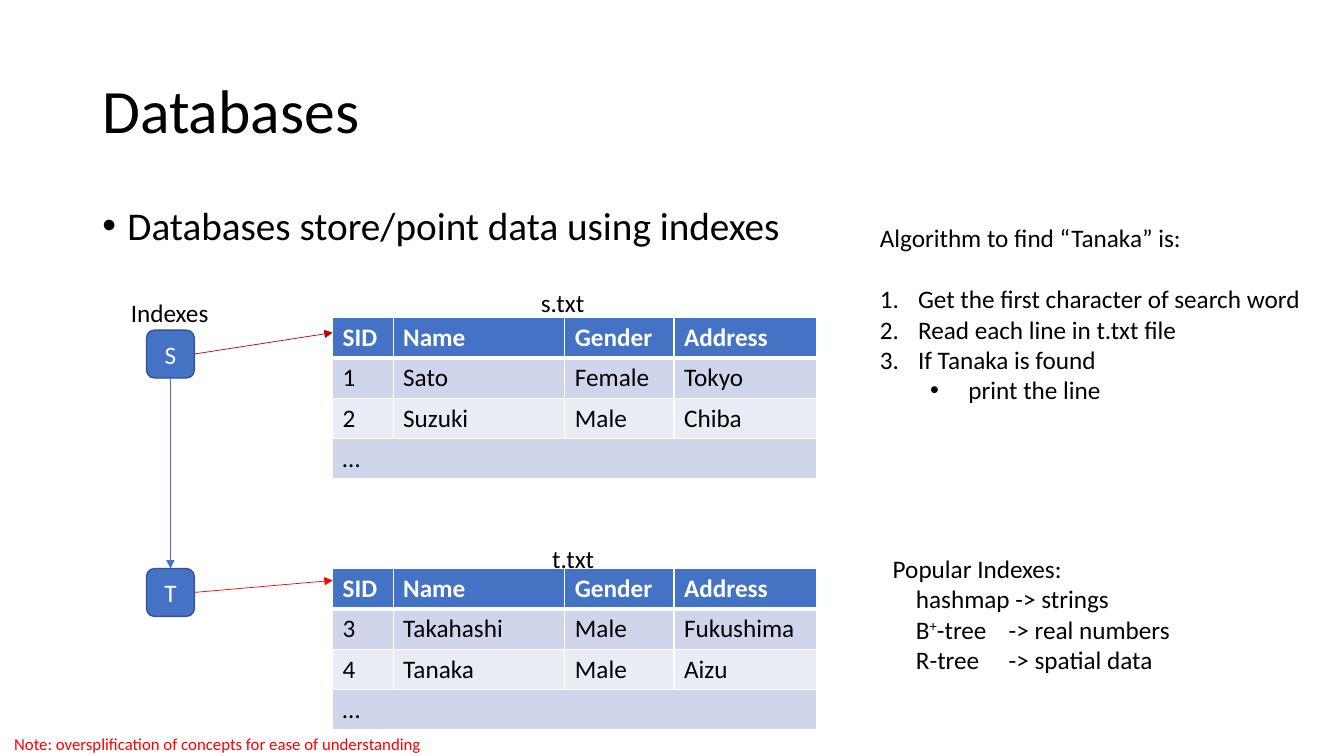
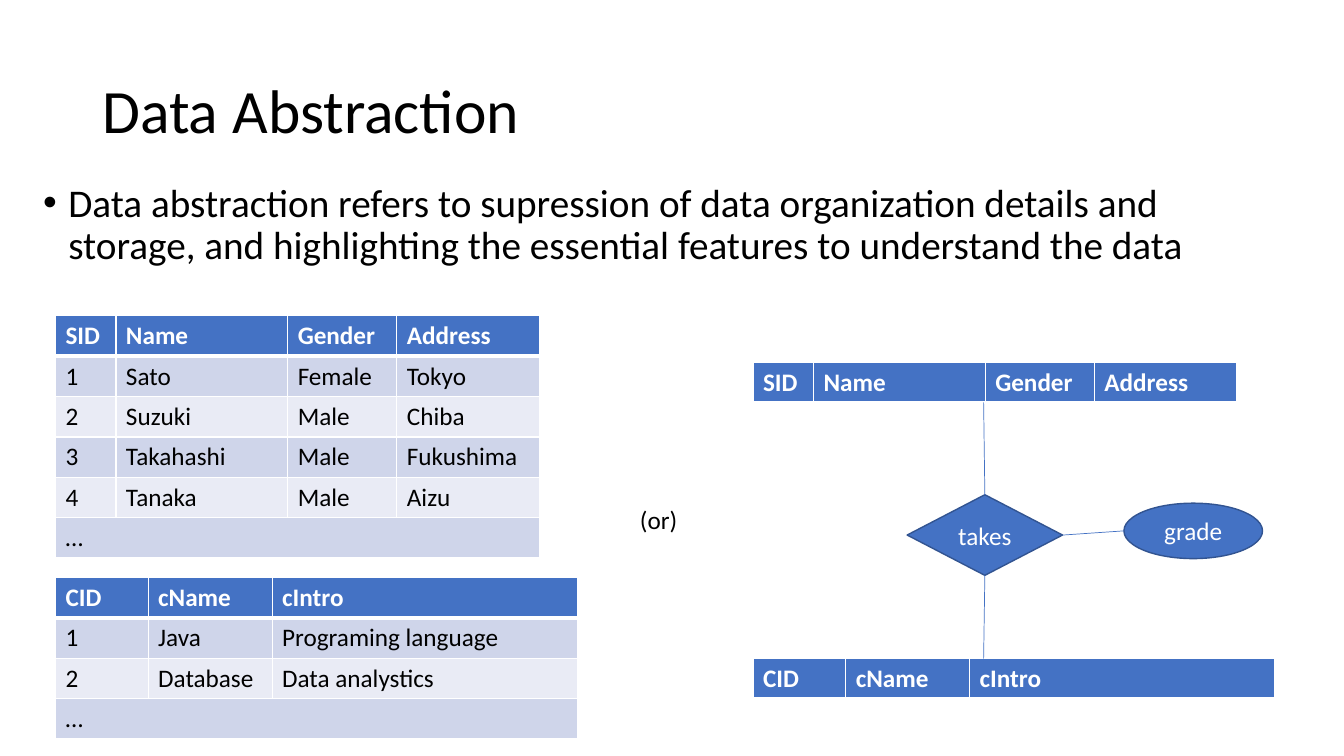
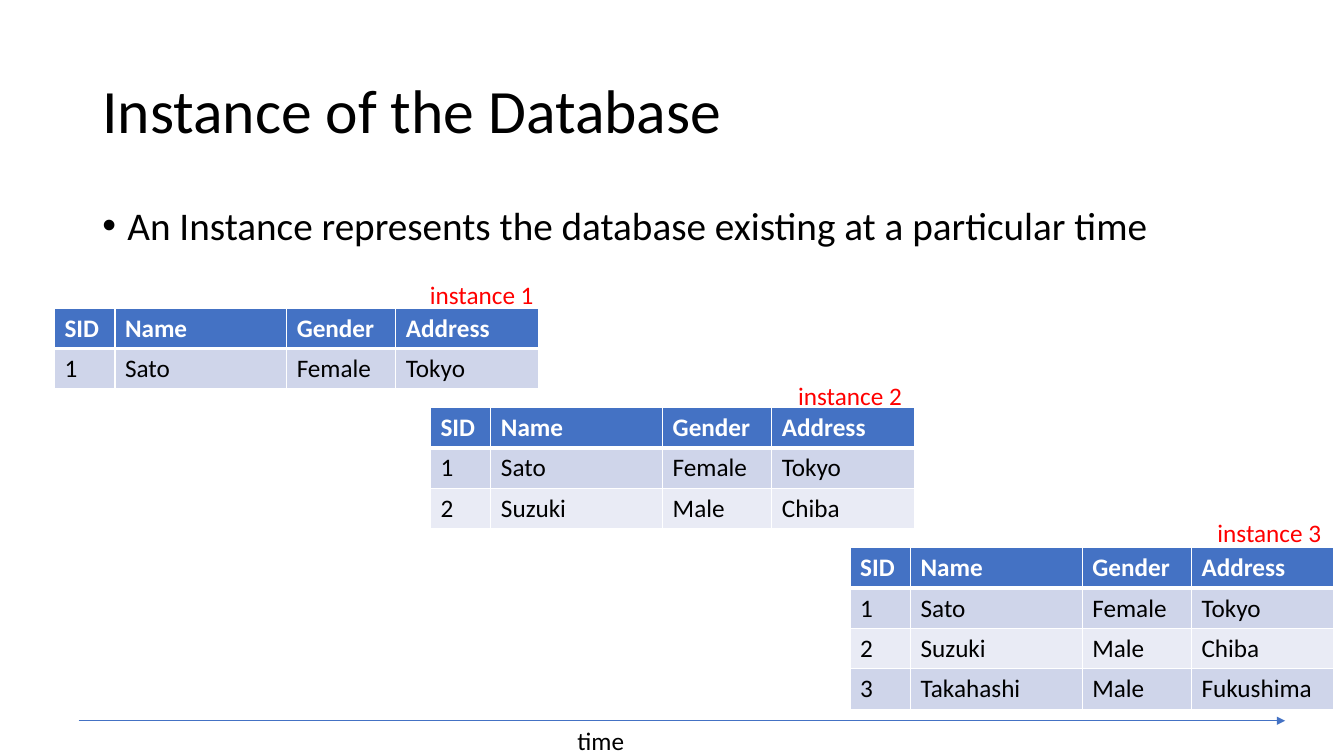
from lxml import etree
from pptx import Presentation
from pptx.dml.color import RGBColor
from pptx.enum.shapes import MSO_CONNECTOR, MSO_SHAPE
from pptx.enum.text import MSO_ANCHOR, PP_ALIGN
from pptx.oxml.ns import qn
from pptx.util import Inches, Pt

STRAIGHT = MSO_CONNECTOR.STRAIGHT
ROUNDED = MSO_SHAPE.ROUNDED_RECTANGLE
DIAMOND = MSO_SHAPE.DIAMOND
OVAL = MSO_SHAPE.OVAL
MIDDLE = MSO_ANCHOR.MIDDLE
TOP_ANCHOR = MSO_ANCHOR.TOP
CENTER = PP_ALIGN.CENTER
TOP, LEFT, BOTTOM, RIGHT = range(4)

BLACK = RGBColor(0x00, 0x00, 0x00)
WHITE = RGBColor(0xFF, 0xFF, 0xFF)
BLUE = RGBColor(0x44, 0x72, 0xC4)
EDGE_BLUE = RGBColor(0x32, 0x54, 0x91)
RED = RGBColor(0xFF, 0x00, 0x00)
DARK_RED = RGBColor(0xC0, 0x00, 0x00)
BANDS = (RGBColor(0xCF, 0xD5, 0xEA), RGBColor(0xE9, 0xEB, 0xF5))

# Grid of 160 columns by 90 rows of square cells
GRID_COLS, GRID_ROWS = 160, 90
CELL = Inches(7.5) / GRID_ROWS

TITLE = {"size": Pt(44)}
BODY = {"size": Pt(28)}
PLAIN = {"size": Pt(18)}
NOTE = {"size": Pt(12)}
HEAD = {"size": Pt(18), "bold": True}

# Table content
STUDENT_COLS = (7.2, 20.45, 13, 16.95)
STUDENT_HEAD = ("SID", "Name", "Gender", "Address")
STUDENTS = (
    ("1", "Sato", "Female", "Tokyo"),
    ("2", "Suzuki", "Male", "Chiba"),
    ("3", "Takahashi", "Male", "Fukushima"),
    ("4", "Tanaka", "Male", "Aizu"),
)
COURSE_COLS = (11.04, 14.76, 36.36)
COURSE_HEAD = ("CID", "cName", "cIntro")
COURSES = (
    ("1", "Java", "Programing language"),
    ("2", "Database", "Data analystics"),
)
MORE = (("…",),)


def grid(*cells):
    return [round(cell * CELL) for cell in cells]


class Deck:
    """Holds the shared style and the slide being built."""

    font_name = "Calibri"
    row_height = 4.8

    def __init__(self):
        self.prs = Presentation()
        self.prs.slide_width, self.prs.slide_height = grid(GRID_COLS, GRID_ROWS)

    def start(self, title, statement, left=11, top=24):
        """New slide with its title and one bulleted statement."""
        self.slide = self.prs.slides.add_slide(self.prs.slide_layouts[6])
        self.text(11, 4.8, 138, 17.4, [{"runs": title, "line_spacing": 0.9}],
                  TITLE, anchor=MIDDLE)
        self.text(left, top, 138, 57.1,
                  [{"runs": statement, "line_spacing": 0.9,
                    "bullet": "•", "indent": (0.25, -0.25)}], BODY)

    def add_words(self, paragraph, runs, style, color):
        """Runs are a string, or pairs of text and baseline shift."""
        for words, shift in [(runs, 0)] if isinstance(runs, str) else runs:
            run = paragraph.add_run()
            run.text = words
            for name, value in {"name": self.font_name, **style}.items():
                setattr(run.font, name, value)
            run.font.color.rgb = color
            if shift:
                run._r.get_or_add_rPr().set("baseline", str(shift * 1000))

    def mark(self, paragraph, bullet=None, indent=None, tabs=()):
        """Bullet or number, hanging indent and tab stops."""
        props = paragraph._p.get_or_add_pPr()
        if indent:
            for name, inches in zip(("marL", "indent"), indent):
                props.set(name, str(Inches(inches)))
        if bullet == "1.":
            etree.SubElement(props, qn("a:buAutoNum"), type="arabicPeriod")
        elif bullet:
            etree.SubElement(props, qn("a:buFont"), typeface="Arial")
            etree.SubElement(props, qn("a:buChar"), char=bullet)
        if tabs:
            stops = etree.SubElement(props, qn("a:tabLst"))
            for inches in tabs:
                etree.SubElement(stops, qn("a:tab"), pos=str(Inches(inches)), algn="l")

    def text(self, left, top, width, height, lines, style=PLAIN, color=BLACK,
             anchor=TOP_ANCHOR):
        """Text box; each line is a string or a dict of paragraph values."""
        frame = self.slide.shapes.add_textbox(*grid(left, top, width, height)).text_frame
        frame.word_wrap = True
        frame.vertical_anchor = anchor
        for number, line in enumerate(lines):
            values = {"runs": line} if isinstance(line, str) else dict(line)
            paragraph = frame.add_paragraph() if number else frame.paragraphs[0]
            runs = values.pop("runs")
            self.mark(paragraph, values.pop("bullet", None),
                      values.pop("indent", None), values.pop("tabs", ()))
            for name, value in values.items():
                setattr(paragraph, name, value)
            self.add_words(paragraph, runs, style, color)

    def label(self, left, top, width, words, style=PLAIN, color=BLACK):
        self.text(left, top, width, 4.8, [words], style, color)

    def box(self, preset, left, top, width, height, words):
        shape = self.slide.shapes.add_shape(preset, *grid(left, top, width, height))
        shape.shadow.inherit = False
        shape.fill.solid()
        shape.fill.fore_color.rgb = BLUE
        shape.line.color.rgb = EDGE_BLUE
        shape.line.width = Pt(1)
        shape.text_frame.vertical_anchor = MIDDLE
        paragraph = shape.text_frame.paragraphs[0]
        paragraph.alignment = CENTER
        self.add_words(paragraph, words, PLAIN, WHITE)
        return shape

    def line(self, start, end, color=BLUE, arrow=False):
        """Each end is a grid point or a pair of shape and side."""
        free = [(0, 0) if hasattr(spot[0], "shape_id") else spot for spot in (start, end)]
        link = self.slide.shapes.add_connector(STRAIGHT, *grid(*free[0], *free[1]))
        for spot, join in ((start, link.begin_connect), (end, link.end_connect)):
            if hasattr(spot[0], "shape_id"):
                join(*spot)
        link.line.color.rgb = color
        link.line.width = Pt(0.5)
        if arrow:
            etree.SubElement(link.line._get_or_add_ln(), qn("a:tailEnd"), type="triangle")
        etree.SubElement(link._element.spPr, qn("a:effectLst"))

    def borders(self, cell, row):
        """White rules, thick between the head and the body."""
        widths = {"L": 1, "R": 1, "T": 3 if row == 1 else 1, "B": 3 if row == 0 else 1}
        props = cell._tc.get_or_add_tcPr()
        for place, (side, points) in enumerate(widths.items()):
            rule = etree.Element(qn("a:ln" + side), w=str(Pt(points)))
            fill = etree.SubElement(rule, qn("a:solidFill"))
            etree.SubElement(fill, qn("a:srgbClr"), val=str(WHITE))
            props.insert(place, rule)

    def table(self, left, top, widths, head, rows=()):
        """Banded table; a row with a single entry spans all columns."""
        height = self.row_height * (len(rows) + 1)
        table = self.slide.shapes.add_table(
            len(rows) + 1, len(widths), *grid(left, top, sum(widths), height)).table
        for column, width in zip(table.columns, grid(*widths)):
            column.width = width
        for r, entries in enumerate((head, *rows)):
            for c in range(len(widths)):
                cell = table.cell(r, c)
                cell.fill.solid()
                cell.fill.fore_color.rgb = BANDS[(r - 1) % 2] if r else BLUE
                self.borders(cell, r)
            for c, entry in enumerate(entries):
                self.add_words(table.cell(r, c).text_frame.paragraphs[0], entry,
                               PLAIN if r else HEAD, BLACK if r else WHITE)
            if len(entries) == 1:
                table.cell(r, 0).merge(table.cell(r, len(widths) - 1))

    def students(self, left, top, rows=()):
        self.table(left, top, STUDENT_COLS, STUDENT_HEAD, rows)

    def courses(self, left, top, rows=()):
        self.table(left, top, COURSE_COLS, COURSE_HEAD, rows)


def databases(deck):
    deck.start("Databases", "Databases store/point data using indexes")

    # Index nodes and the files they point to
    files_left = 39.6
    nodes = []
    for letter, node_top, file_top, rows, target, color in (
        ("S", 39.3, 37.8, STUDENTS[:2], 39.6, DARK_RED),
        ("T", 67.68, 67.68, STUDENTS[2:], 69.1, RED),
    ):
        deck.students(files_left, file_top, rows + MORE)
        node = deck.box(ROUNDED, 17.44, node_top, 5.7, 5.7, letter)
        deck.line((node, RIGHT), (files_left, target), color, arrow=True)
        nodes.append(node)
    deck.line((nodes[0], BOTTOM), (nodes[1], TOP), arrow=True)
    deck.label(14.4, 34.8, 13, "Indexes")
    deck.label(63.2, 33.6, 9, "s.txt")
    deck.label(64.55, 64.1, 9, "t.txt")

    # Search steps
    step = {"bullet": "1.", "indent": (0.38, -0.38)}
    deck.text(103.56, 25.92, 54, 23, [
        "Algorithm to find “Tanaka” is:",
        {"runs": "Get the first character of search word", "space_before": Pt(22), **step},
        {"runs": "Read each line in t.txt file", **step},
        {"runs": "If Tanaka is found", **step},
        {"runs": "print the line", "level": 1, "bullet": "•", "indent": (0.88, -0.38)},
    ])

    # Index kinds
    tabs = {"tabs": (0.23, 1.15)}
    deck.text(105.1, 65.3, 38, 15.7, [
        "Popular Indexes:",
        {"runs": "\thashmap -> strings", **tabs},
        {"runs": [("\tB", 0), ("+", 30), ("-tree\t-> real numbers", 0)], **tabs},
        {"runs": "\tR-tree\t-> spatial data", **tabs},
    ])
    deck.label(0.5, 86.75, 54, "Note: oversplification of concepts for ease of understanding",
               NOTE, RED)


def data_abstraction(deck):
    deck.start("Data Abstraction",
               "Data abstraction refers to supression of data organization details and "
               "storage, and highlighting the essential features to understand the data",
               left=3.96, top=21.24)

    # Full tables
    deck.students(6.6, 37.6, STUDENTS + MORE)
    deck.courses(6.6, 68.76, COURSES + MORE)
    deck.label(75, 59.4, 8, "(or)")

    # Entities and their relationship
    deck.students(89.64, 43.1)
    deck.courses(89.64, 78.4)
    takes = deck.box(DIAMOND, 108, 58.9, 18.5, 9.6, "takes")
    deck.box(OVAL, 133.8, 59.9, 16.5, 6.6, "grade")
    deck.line((117.1, 47.9), (takes, TOP))
    deck.line((117.1, 78.4), (takes, BOTTOM))
    deck.line((takes, RIGHT), (133.8, 63.2))


def database_instances(deck):
    deck.start("Instance of the Database",
               "An Instance represents the database existing at a particular time")

    # Time axis
    deck.line((9.36, 85.8), (153, 85.8), arrow=True)
    deck.label(67.56, 85.8, 9, "time")

    # One more student in each instance
    for count, (left, top, label_left, label_top) in enumerate((
        (6.48, 36.7, 50, 32.64),
        (51.24, 48.5, 93.84, 44.64),
        (101.2, 65.2, 143.76, 60.96),
    ), start=1):
        deck.students(left, top, STUDENTS[:count])
        deck.label(label_left, label_top, 16, f"instance {count}", color=RED)


def main():
    deck = Deck()
    for build in (databases, data_abstraction, database_instances):
        build(deck)
    deck.prs.save("out.pptx")


if __name__ == "__main__":
    main()
